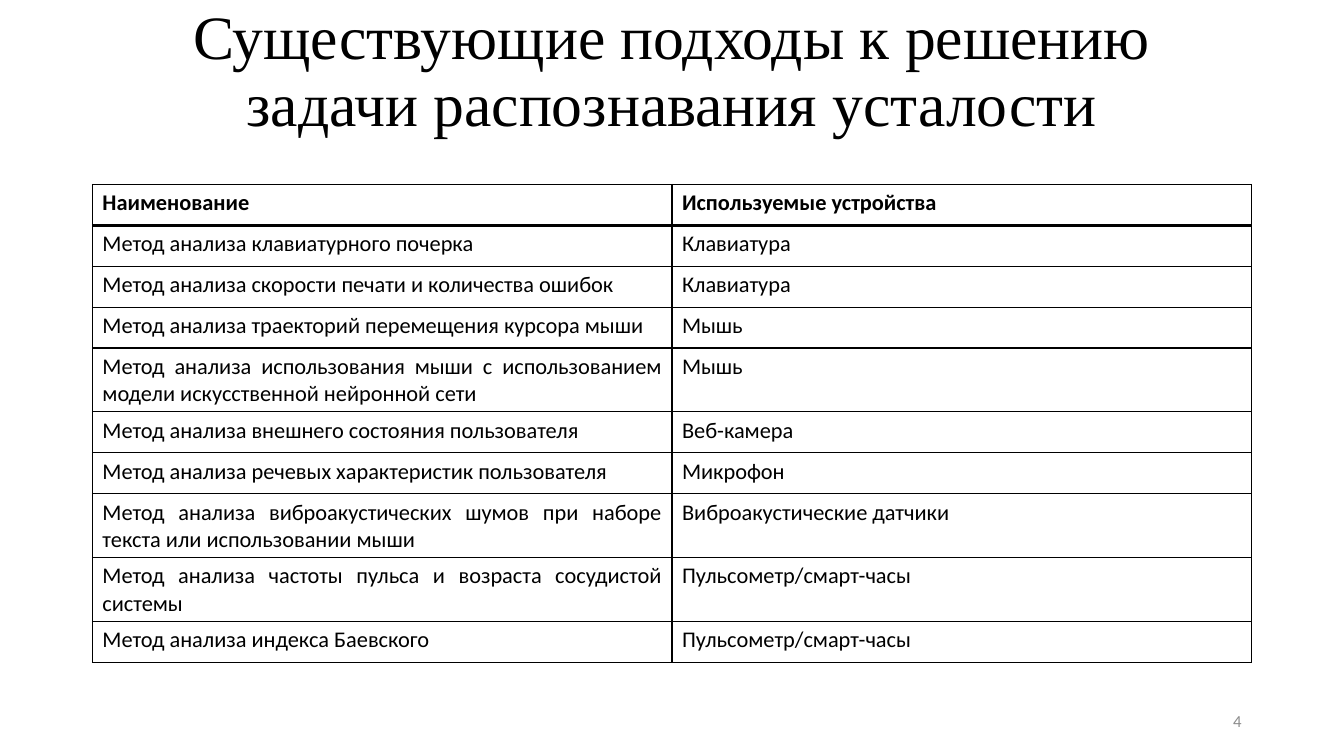
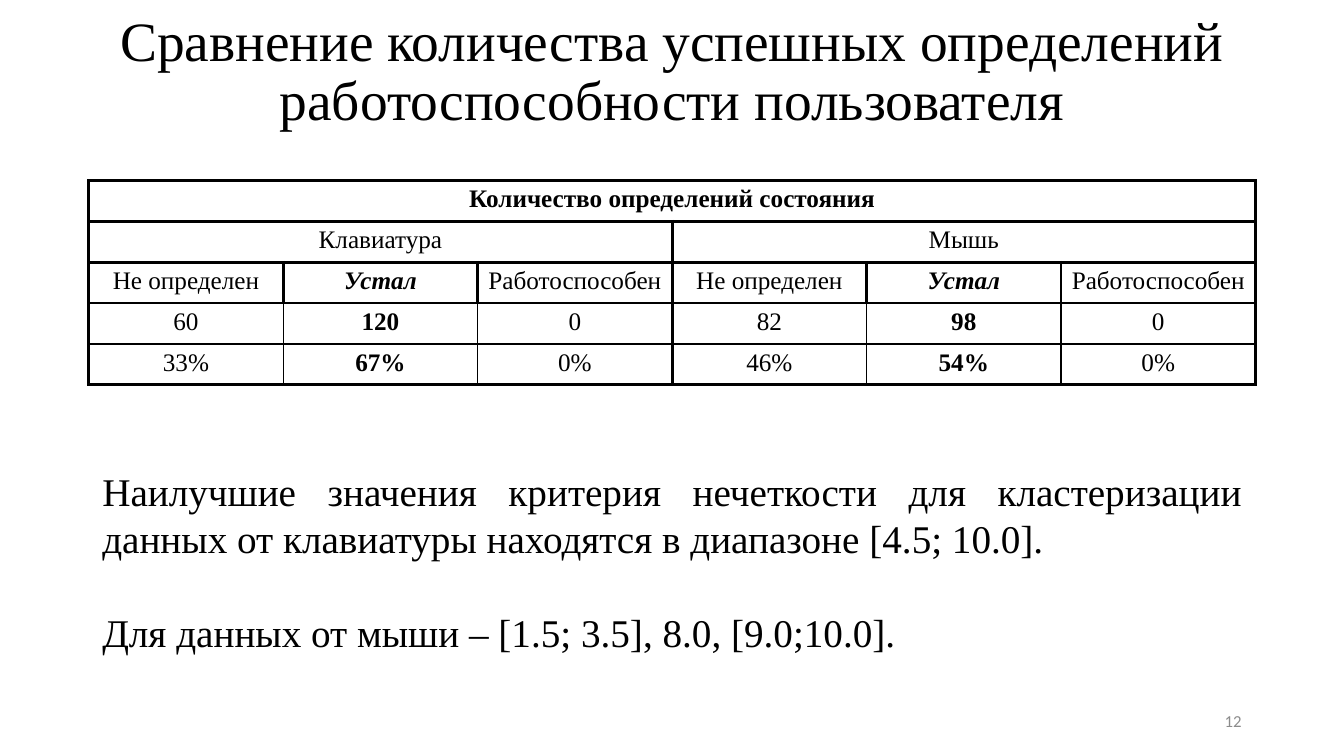
from lxml.etree import SubElement
from pptx import Presentation
from pptx.dml.color import RGBColor
from pptx.enum.text import MSO_ANCHOR, MSO_AUTO_SIZE, PP_ALIGN
from pptx.oxml.ns import qn
from pptx.util import Pt

WIDE, HIGH = 960, 540
LEFT, SPAN = 66, 828
ROW = 29.2
THIN, THICK = 1, 2.25
BLACK, GREY = "000000", "8C8C8C"
SERIF, SANS = "Times New Roman", "Calibri"

METHODS = [
    ("Наименование", "Используемые устройства"),
    ("Метод анализа клавиатурного почерка", "Клавиатура"),
    ("Метод анализа скорости печати и количества ошибок", "Клавиатура"),
    ("Метод анализа траекторий перемещения курсора мыши", "Мышь"),
    ("Метод анализа использования мыши с использованием модели "
     "искусственной нейронной сети", "Мышь"),
    ("Метод анализа внешнего состояния пользователя", "Веб-камера"),
    ("Метод анализа речевых характеристик пользователя", "Микрофон"),
    ("Метод анализа виброакустических шумов при наборе текста или "
     "использовании мыши", "Виброакустические датчики"),
    ("Метод анализа частоты пульса и возраста сосудистой системы",
     "Пульсометр/смарт-часы"),
    ("Метод анализа индекса Баевского", "Пульсометр/смарт-часы"),
]
STATES = ("Не определен", "Устал", "Работоспособен")
COUNTS = [
    ("Количество определений состояния",) + ("",) * 5,
    ("Клавиатура", "", "", "Мышь", "", ""),
    STATES * 2,
    ("60", "120", "0", "82", "98", "0"),
    ("33%", "67%", "0%", "46%", "54%", "0%"),
]
RANGES = [
    "Наилучшие значения критерия нечеткости для кластеризации данных "
    "от клавиатуры находятся в диапазоне [4.5; 10.0].",
    "Для данных от мыши – [1.5; 3.5], 8.0, [9.0;10.0].",
]


def color(code):
    return RGBColor.from_string(code)


def write(frame, *texts, size, font=SERIF, ink=BLACK, bold=False,
          italic=False, align=PP_ALIGN.CENTER, line=None, gap=0):
    """Fill a text frame, one paragraph for each text."""
    frame.word_wrap = True
    for i, text in enumerate(texts):
        par = frame.add_paragraph() if i else frame.paragraphs[0]
        par.alignment = align
        if line:
            par.line_spacing = line
        if i:
            par.space_before = Pt(gap)
        run = par.add_run()
        run.text = text
        run.font.size, run.font.name = Pt(size), font
        run.font.bold, run.font.italic = bold, italic
        run.font.color.rgb = color(ink)


def add_box(slide, x, y, w, h, *texts, anchor=MSO_ANCHOR.TOP, **style):
    box = slide.shapes.add_textbox(Pt(x), Pt(y), Pt(w), Pt(h))
    box.text_frame.vertical_anchor = anchor
    write(box.text_frame, *texts, **style)


def add_page(deck, title, number, size):
    """Add a slide with its title and page number."""
    slide = deck.slides.add_slide(deck.slide_layouts[5])
    head = slide.shapes.title
    head.left, head.top = Pt(LEFT), Pt(0)
    head.width, head.height = Pt(SPAN), Pt(104.4)
    frame = head.text_frame
    frame.auto_size = MSO_AUTO_SIZE.NONE
    frame.vertical_anchor = MSO_ANCHOR.MIDDLE
    write(frame, title, size=size, line=0.9)
    add_box(slide, 678, 500.4, 216, 28.8, str(number), size=12, font=SANS,
            ink=GREY, align=PP_ALIGN.RIGHT, anchor=MSO_ANCHOR.MIDDLE)
    return slide


def add_edges(cell, left, right, top, bottom):
    """Draw the four borders of a cell, given their widths."""
    props = cell._tc.get_or_add_tcPr()
    widths = {"L": left, "R": right, "T": top, "B": bottom}
    for side, width in widths.items():
        edge = SubElement(props, qn(f"a:ln{side}"), w=str(Pt(width)))
        fill = SubElement(edge, qn("a:solidFill"))
        SubElement(fill, qn("a:srgbClr"), val=BLACK)


def add_grid(slide, x, y, w, rows, style, edges, spans=()):
    """Add a table; style and edges give the look of a cell at (row, col)."""
    count = len(rows[0])
    grid = slide.shapes.add_table(len(rows), count, Pt(x), Pt(y), Pt(w),
                                  Pt(ROW * len(rows))).table
    grid.first_row = grid.horz_banding = False
    for col in grid.columns:
        col.width = Pt(w / count)
    for r, texts in enumerate(rows):
        grid.rows[r].height = Pt(ROW)
        for c, text in enumerate(texts):
            cell = grid.cell(r, c)
            add_edges(cell, *edges(r, c))
            cell.fill.background()
            if text:
                write(cell.text_frame, text, **style(r, c))
    for r, first, last in spans:
        grid.cell(r, first).merge(grid.cell(r, last))


def method_style(r, c):
    return dict(size=16, font=SANS, bold=r == 0, align=PP_ALIGN.JUSTIFY)


def method_edges(r, c):
    return THIN, THIN, 2 if r == 1 else THIN, 2 if r == 0 else THIN


def count_style(r, c):
    tired = r > 1 and c % 3 == 1
    return dict(size=18, bold=r == 0 or tired, italic=tired and r == 2)


def count_edges(r, c):
    """Thick in the heading rows and around each group of three numbers."""
    head = r < 3
    thick = (head or c % 3 == 0, head or c % 3 == 2, r < 4, head or r == 4)
    return [THICK if side else THIN for side in thick]


def main():
    deck = Presentation()
    deck.slide_width, deck.slide_height = Pt(WIDE), Pt(HIGH)

    slide = add_page(deck, "Существующие подходы к решению задачи "
                     "распознавания усталости", 4, 44)
    add_grid(slide, LEFT, 131.8, SPAN, METHODS, method_style, method_edges)

    slide = add_page(deck, "Сравнение количества успешных определений "
                     "работоспособности пользователя", 12, 39.6)
    add_grid(slide, 63.4, 128.9, 833.4, COUNTS, count_style, count_edges,
             spans=[(0, 0, 5), (1, 0, 2), (1, 3, 5)])
    add_box(slide, LEFT, 330.5, SPAN, 143.3, *RANGES, size=28,
            align=PP_ALIGN.JUSTIFY, gap=33)

    deck.save("out.pptx")


if __name__ == "__main__":
    main()
